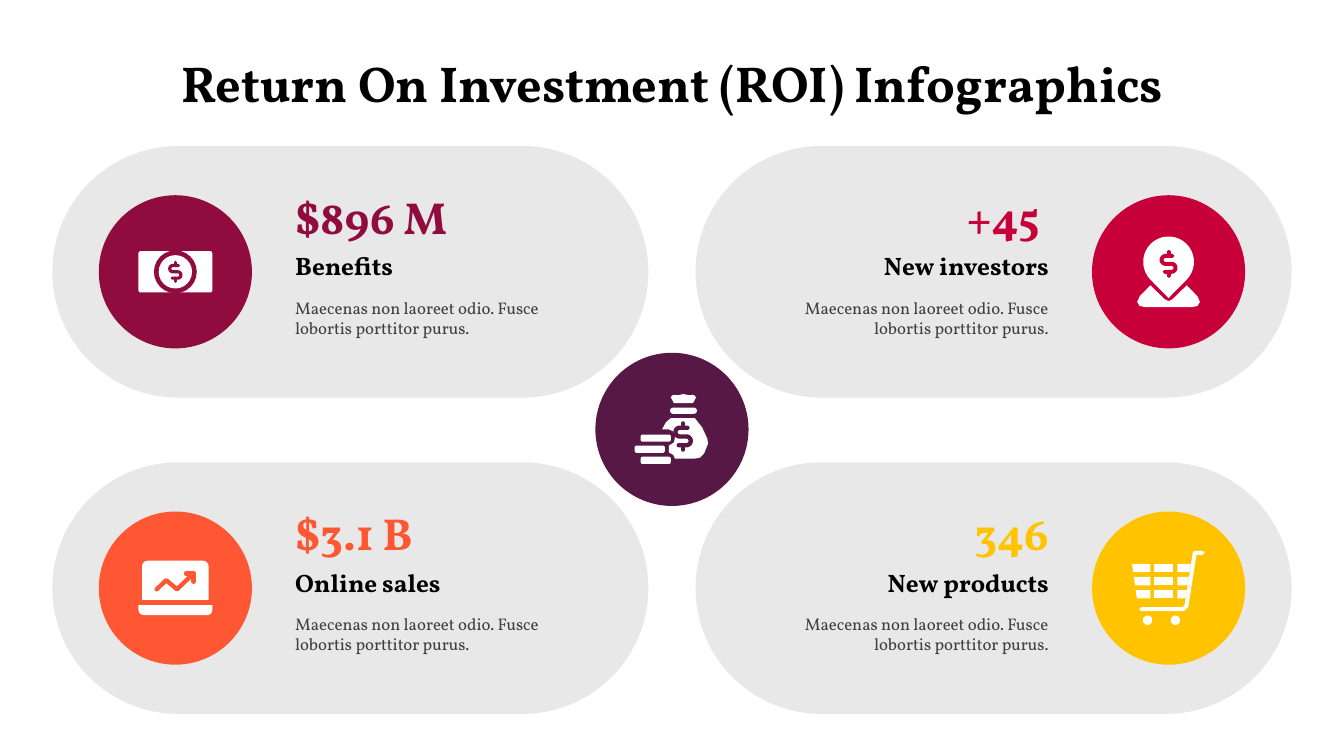
from dataclasses import dataclass
from math import cos, radians, sin

from lxml import etree
from pptx import Presentation
from pptx.dml.color import RGBColor
from pptx.enum import shapes as kinds, text as txt
from pptx.oxml import ns
from pptx.util import Cm, Pt

Point = tuple[float, float]
Preset = kinds.MSO_SHAPE


@dataclass(frozen=True)
class Theme:
    font: str = "Vollkorn"
    ink: str = "000000"
    muted: str = "404040"
    white: str = "FFFFFF"
    card: str = "D9D9D9"
    hub: str = "571845"
    title_size: int = 36
    amount_size: int = 32
    label_size: int = 18
    body_size: int = 12


@dataclass(frozen=True)
class Block:
    """Preset shape of an icon, in cm from the disc centre."""
    preset: Preset
    x: float
    y: float
    w: float
    h: float
    cutout: bool = False
    round: float | None = None
    turn: int = 0


@dataclass(frozen=True)
class Outline:
    """Freeform of an icon: filled, or a stroke when it has a width."""
    points: list[Point]
    stroke: float = 0
    cutout: bool = False


Icon = list[Block | Outline]


@dataclass(frozen=True)
class Metric:
    amount: str
    label: str
    color: str
    row: int
    on_right: bool
    icon: Icon


THEME = Theme()
SLIDE_W, SLIDE_H = 33.87, 19.05
CARD_X, CARD_Y, CARD_W, CARD_H, ROW_PITCH = 1.32, 3.68, 15.02, 6.34, 7.97
DISC, DISC_X = 3.86, 4.42
TEXT_X, TEXT_W = 7.19, 7.82
BLURB = "Maecenas non laoreet odio. Fusce lobortis porttitor purus."

deck = Presentation()
deck.slide_width, deck.slide_height = Cm(SLIDE_W), Cm(SLIDE_H)
slide = deck.slides.add_slide(deck.slide_layouts[6])


def arc(x: float, y: float, r: float, start: int, end: int) -> list[Point]:
    step = 10 if end > start else -10
    return [(x + r * cos(radians(a)), y + r * sin(radians(a)))
            for a in range(start, end + step, step)]


def mirrored(half: list[Point], axis: float = 0) -> list[Point]:
    return half + [(2 * axis - x, y) for x, y in reversed(half)]


def dollar(x: float, y: float, unit: float) -> Icon:
    curve = [(1, -2), *arc(-.75, -1, 1, 270, 90), *arc(.75, 1, 1, -90, 90), (-1, 2)]
    lines = [curve, [(0, -3), (0, -2)], [(0, 2), (0, 3)]]
    return [Outline([(x + px * unit, y + py * unit) for px, py in line], unit, True)
            for line in lines]


def basket() -> Icon:
    """Three rows of three cells between slanted outer edges."""
    cells: Icon = []
    for row in range(3):
        top = -.61 + .33 * row
        bottom = top + .21
        left, left_low = (-.92 + .14 * (y + .61) for y in (top, bottom))
        right, right_low = (.56 - .15 * (y + .61) for y in (top, bottom))
        for a, b, c, d in ((left, -.46, -.46, left_low), (-.36, .11, .11, -.36),
                           (.22, right, right_low, .22)):
            cells.append(Outline([(a, top), (b, top), (c, bottom), (d, bottom)]))
    return cells


def paint(shape, color: str, opacity: int = 100) -> None:
    shape.shadow.inherit = False
    shape.fill.solid()
    shape.fill.fore_color.rgb = RGBColor.from_string(color)
    shape.line.fill.background()
    if opacity < 100:
        tint = shape.fill._xPr.find(".//" + ns.qn("a:srgbClr"))
        etree.SubElement(tint, ns.qn("a:alpha"), val=str(opacity * 1000))


def add_block(block: Block, color: str, x: float = 0, y: float = 0, opacity: int = 100) -> None:
    shape = slide.shapes.add_shape(block.preset, Cm(x + block.x), Cm(y + block.y),
                                   Cm(block.w), Cm(block.h))
    if block.round is not None:
        shape.adjustments[0] = block.round
    shape.rotation = block.turn
    paint(shape, color, opacity)


def add_outline(outline: Outline, color: str, x: float, y: float) -> None:
    first, *rest = [(Cm(x + px), Cm(y + py)) for px, py in outline.points]
    builder = slide.shapes.build_freeform(*first)
    builder.add_line_segments(rest, close=not outline.stroke)
    shape = builder.convert_to_shape()
    paint(shape, color)
    if outline.stroke:
        shape.fill.background()
        shape.line.color.rgb = RGBColor.from_string(color)
        shape.line.width = Cm(outline.stroke)
        line = shape.line._get_or_add_ln()
        line.set("cap", "rnd")
        etree.SubElement(line, ns.qn("a:round"))


def add_disc(x: float, y: float, color: str, icon: Icon) -> None:
    add_block(Block(Preset.OVAL, -DISC / 2, -DISC / 2, DISC, DISC), color, x, y)
    for part in icon:
        draw = add_block if isinstance(part, Block) else add_outline
        draw(part, color if part.cutout else THEME.white, x, y)


def add_text(words: str, x: float, y: float, w: float, h: float, *, size: int,
             color: str = THEME.ink, bold: bool = True, align=txt.PP_ALIGN.LEFT,
             anchor=txt.MSO_ANCHOR.MIDDLE, inset: float = .25, after: int = 0) -> None:
    frame = slide.shapes.add_textbox(Cm(x), Cm(y), Cm(w), Cm(h)).text_frame
    frame.word_wrap = True
    frame.vertical_anchor = anchor
    frame.margin_left = frame.margin_right = Cm(.25)
    frame.margin_top = frame.margin_bottom = Cm(inset)
    line = frame.paragraphs[0]
    line.text, line.alignment, line.space_after = words, align, Pt(after)
    line.font.name, line.font.size, line.font.bold = THEME.font, Pt(size), bold
    line.font.color.rgb = RGBColor.from_string(color)


def add_metric(metric: Metric) -> None:
    top = CARD_Y + metric.row * ROW_PITCH
    side = txt.PP_ALIGN.RIGHT if metric.on_right else txt.PP_ALIGN.LEFT

    def place(x: float, w: float = 0) -> float:
        return SLIDE_W - x - w if metric.on_right else x

    card = Block(Preset.ROUNDED_RECTANGLE, place(CARD_X, CARD_W), top, CARD_W, CARD_H, round=.5)
    add_block(card, THEME.card, opacity=60)
    add_disc(place(DISC_X), top + CARD_H / 2, metric.color, metric.icon)
    x = place(TEXT_X, TEXT_W)
    add_text(metric.amount, x, top + 1.08, TEXT_W, 1.4, size=THEME.amount_size,
             color=metric.color, align=side)
    add_text(metric.label, x, top + 2.5, TEXT_W, 1.04, size=THEME.label_size, align=side)
    add_text(BLURB, x, top + 3.57, TEXT_W, 1.52, size=THEME.body_size, color=THEME.muted,
             bold=False, align=side, after=6)


# Icons
banknote = [Block(Preset.ROUNDED_RECTANGLE, -.93, -.52, 1.86, 1.04, round=.05),
            Block(Preset.OVAL, -.54, -.54, 1.08, 1.08, cutout=True),
            Block(Preset.OVAL, -.42, -.42, .84, .84), *dollar(0, 0, .08)]
map_pin = [Outline([*arc(0, -.25, .64, 135, 405), (0, .66)]),
           Outline(mirrored([(0, .74), (-.1, .69), (-.46, .34), (-.73, .62), (-.79, .76),
                             (-.73, .86), (-.59, .89)])),
           *dollar(0, -.2, .1)]
laptop = [Block(Preset.ROUND_2_SAME_RECTANGLE, -.84, -.69, 1.68, .99, round=.14),
          Block(Preset.ROUND_2_SAME_RECTANGLE, -.93, .43, 1.86, .25, round=.5, turn=180),
          Outline([(-.47, .03), (-.23, -.2), (.04, .03), (.46, -.37)], .11, True),
          Outline([(.27, -.37), (.46, -.37), (.46, -.16)], .11, True)]
cart = [*basket(), *(Block(Preset.OVAL, x, .69, .24, .24) for x in (-.65, .05)),
        Outline([(.86, -.89), (.66, -.89), (.45, .46), (.36, .53), (-.69, .53)], .1)]
money_bag = [Outline(mirrored([(.29, -.89), (.15, -.86), (.03, -.87), (-.03, -.81),
                               (.05, -.66)], axis=.29)),
             Block(Preset.ROUNDED_RECTANGLE, -.05, -.55, .68, .16, round=.5),
             Outline([(-.03, -.28), (.58, -.28), (.76, -.05), (.89, .23), (.91, .36),
                      (.81, .61), (.71, .71), (.56, .74), (.08, .74), (.03, .64),
                      (-.08, .58), (-.08, .41), (.05, .33), (.08, .18), (.03, .05),
                      (-.08, 0), (-.25, 0), (-.15, -.18)]),
             *(Block(Preset.ROUNDED_RECTANGLE, x, y, .76, .18, round=.25)
               for x, y in ((-.79, .13), (-.94, .41), (-.79, .69))),
             *dollar(.28, .18, .11)]

# Cards, then the hub between them
for metric in (Metric("$896 M", "Benefits", "900C3E", 0, False, banknote),
               Metric("+45 ", "New investors", "C70039", 0, True, map_pin),
               Metric("$3.1 B", "Online sales", "FF5733", 1, False, laptop),
               Metric("346", "New products", "FFC300", 1, True, cart)):
    add_metric(metric)
add_disc(SLIDE_W / 2, 10.82, THEME.hub, money_bag)

# Title
add_text("Return On Investment (ROI) Infographics", 0, 1.19, SLIDE_W, 1.8,
         size=THEME.title_size, align=txt.PP_ALIGN.CENTER,
         anchor=txt.MSO_ANCHOR.TOP, inset=.13)

deck.save("out.pptx")
